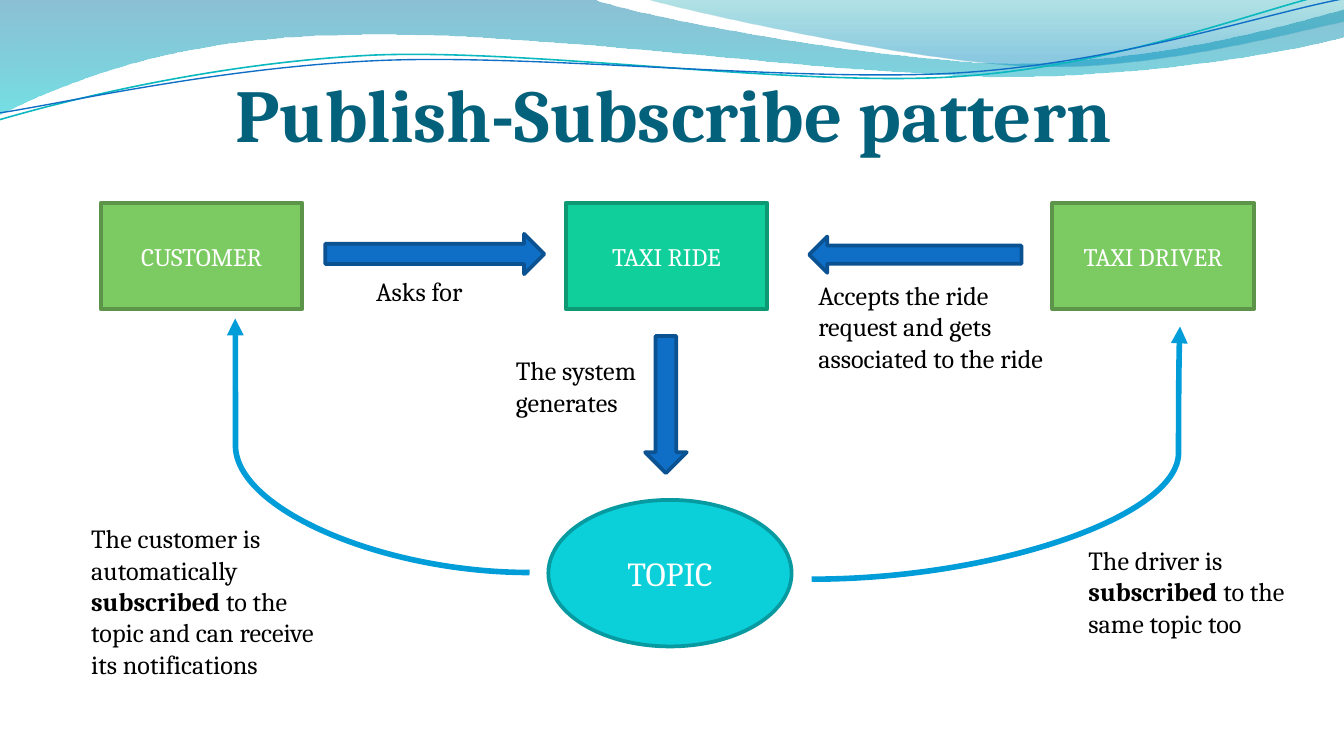
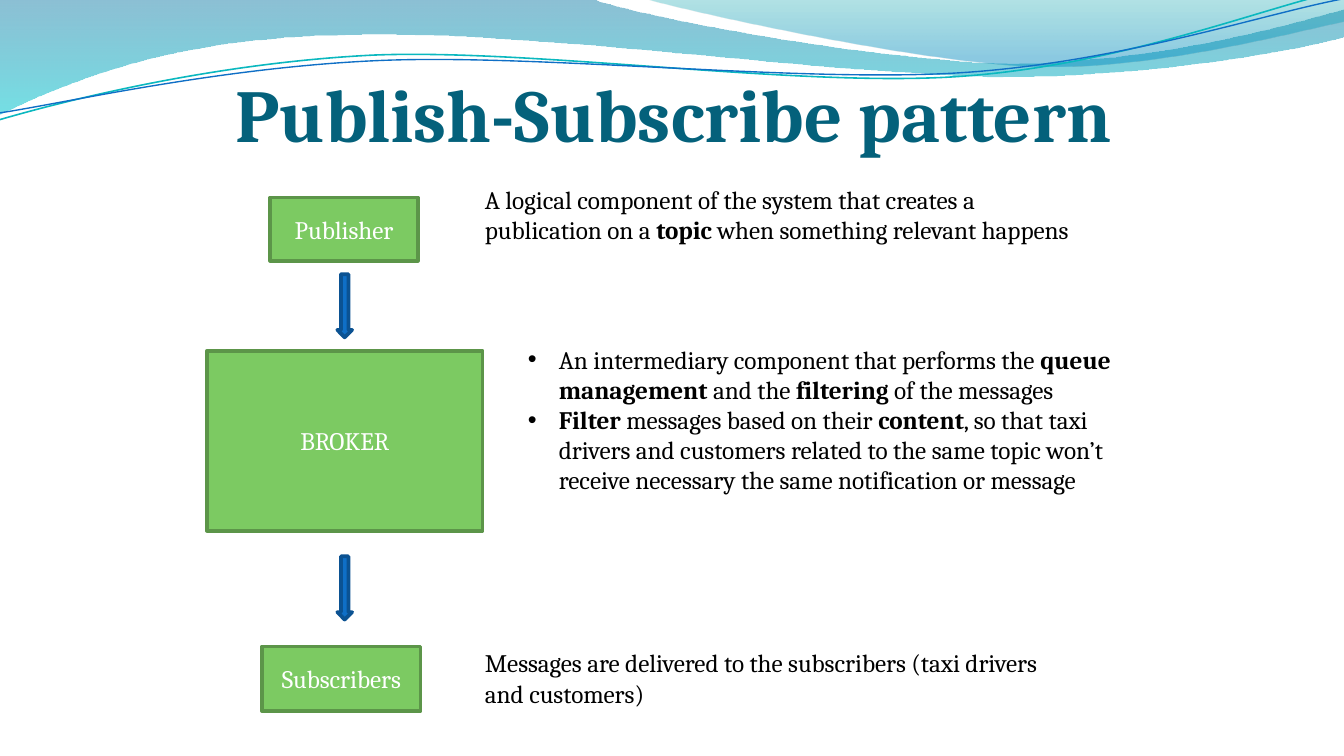
from dataclasses import dataclass
from math import cos, radians, sin
from lxml.etree import SubElement
from pptx import Presentation
from pptx.dml.color import RGBColor
from pptx.enum.shapes import MSO_CONNECTOR, MSO_SHAPE
from pptx.enum.text import MSO_ANCHOR, MSO_AUTO_SIZE, PP_ALIGN
from pptx.oxml.ns import qn
from pptx.util import Inches, Pt


@dataclass(frozen=True)
class Theme:
    font: str = "Cambria"
    title: str = "04617B"
    text: str = "000000"
    white: str = "FFFFFF"
    green: tuple = ("7CCA62", "5C9549")
    mint: tuple = ("10CF9B", "0C9973")
    cyan: tuple = ("0BD0D9", "089AA1")
    blue: tuple = ("0F6FC6", "0B5292")
    curve: str = "009DD9"
    teal_line: str = "0AB8BF"
    wave: tuple = ((0, "0074A1", 45), (1, "00C6CF", 55))
    sweep: tuple = ((0, "00A1A9", 30), (0.8, "008BBF", 45))
    title_size: float = 40
    topic_size: float = 18
    note_size: float = 14
    body_size: float = 13.5
    outline: float = 2
    curve_width: float = 3


@dataclass(frozen=True)
class Box:
    left: float
    top: float
    width: float
    height: float

    def inner(self, left, top, width, height):
        return Box(self.left + left, self.top + top, width, height)

    def point(self, x, y):
        return Inches(self.left + x), Inches(self.top + y)

    def lengths(self):
        return [Inches(n) for n in (self.left, self.top, self.width, self.height)]


THEME = Theme()
STRAND_TILT = -2.7

WAVE = [[(0, 0)], [(4.4, -0.01)],
        [(4.76, 0.13), (6.64, 0.47), (7.58, 0.47)],
        [(8.53, 0.47), (9.58, 0.19), (10, 0.07)], [(10.01, 0.27)],
        [(9.83, 0.33), (8.7, 0.57), (7.46, 0.57)],
        [(6.22, 0.56), (3.82, 0.21), (2.57, 0.26)],
        [(1.29, 0.27), (0.46, 0.62), (-0.01, 0.85)], [(0, 0)]]
SWEEP = [[(4.79, -0.01)],
         [(5.09, 0.08), (6.82, 0.46), (7.69, 0.49)],
         [(8.56, 0.52), (9.61, 0.24), (10, 0.16)], [(10, 0)], [(4.79, -0.01)]]
TEAL_STRAND = [[(0, 0.89)],
               [(0.48, 0.75), (1.58, 0.47), (2.77, 0.41)],
               [(3.96, 0.36), (5.92, 0.65), (7.12, 0.57)],
               [(8.33, 0.49), (9.39, 0.06), (9.98, -0.07)]]
BLUE_STRAND = [[(0, 0.84)],
               [(0.47, 0.77), (1.64, 0.5), (2.83, 0.45)],
               [(4.03, 0.4), (5.97, 0.62), (7.17, 0.54)],
               [(8.36, 0.46), (9.41, 0.1), (10, -0.01)]]


def apply(target, values):
    for name, value in values.items():
        setattr(target, name, value)


def rgb(value):
    return RGBColor.from_string(value)


def add_xml(parent, tag, **values):
    return SubElement(parent, qn(tag), {k: str(v) for k, v in values.items()})


def set_line(shape, color, width):
    shape.line.color.rgb = rgb(color)
    shape.line.width = Pt(width)


def add_outline(page, box, outline, close):
    places = [box.point(*p) for segment in outline for p in segment]
    builder = page.shapes.build_freeform(*places[0], scale=1.0)
    builder.add_line_segments(places[1:], close=close)
    shape = builder.convert_to_shape()
    shape.shadow.inherit = False
    corners = iter(list(shape._element.iter(qn("a:lnTo"))))
    for segment in outline[1:]:
        steps = [next(corners) for _ in segment]
        if len(steps) == 3:
            curve = add_xml(steps[0].getparent(), "a:cubicBezTo")
            steps[0].addprevious(curve)
            for step in steps:
                curve.append(step[0])
                step.getparent().remove(step)
    return shape


def add_band(page, box, outline, stops):
    shape = add_outline(page, box, outline, True)
    shape.line.fill.background()
    shape.fill.gradient()
    shape.fill.gradient_angle = 270
    for stop, (position, color, _) in zip(shape.fill.gradient_stops, stops):
        stop.position = position
        stop.color.rgb = rgb(color)
    for mark, (_, _, opacity) in zip(shape._element.iter(qn("a:gs")), stops):
        add_xml(mark[0], "a:alpha", val=opacity * 1000)


def turn(point, center, degrees):
    angle = radians(degrees)
    x, y = point[0] - center[0], point[1] - center[1]
    return (center[0] + x * cos(angle) - y * sin(angle),
            center[1] + x * sin(angle) + y * cos(angle))


def add_strand(page, box, outline, center, color, width):
    level = [[turn(p, center, -STRAND_TILT) for p in segment] for segment in outline]
    shape = add_outline(page, box, level, False)
    shape.rotation = STRAND_TILT
    shape.fill.background()
    set_line(shape, color, width)


def write(frame, texts, size, color, align=PP_ALIGN.LEFT, bold=False, bullets=False):
    frame.word_wrap = True
    for index, text in enumerate(texts):
        para = frame.paragraphs[0] if index == 0 else frame.add_paragraph()
        para.alignment = align
        if bullets:
            add_bullet(para)
        for number, words in enumerate(text.split("**")):
            if words:
                span = para.add_run()
                span.text = words
                apply(span.font, {"name": THEME.font, "size": Pt(size),
                                  "bold": bold or number % 2 == 1})
                span.font.color.rgb = rgb(color)


def add_bullet(para):
    props = para._p.get_or_add_pPr()
    props.set("marL", str(Inches(0.23)))
    props.set("indent", str(-Inches(0.23)))
    add_xml(props, "a:buFont", typeface="Arial")
    add_xml(props, "a:buChar", char="•")


def add_note(page, box, *texts, size=THEME.note_size, bullets=False):
    frame = page.shapes.add_textbox(*box.lengths()).text_frame
    write(frame, texts, size, THEME.text, bullets=bullets)
    frame.auto_size = MSO_AUTO_SIZE.SHAPE_TO_FIT_TEXT


def add_block(page, box, colors, text="", kind=MSO_SHAPE.RECTANGLE,
              size=THEME.body_size, rotation=0):
    shape = page.shapes.add_shape(kind, *box.lengths())
    shape.shadow.inherit = False
    shape.rotation = rotation
    shape.fill.solid()
    shape.fill.fore_color.rgb = rgb(colors[0])
    set_line(shape, colors[1], THEME.outline)
    if text:
        shape.text_frame.vertical_anchor = MSO_ANCHOR.MIDDLE
        write(shape.text_frame, [text], size, THEME.white, PP_ALIGN.CENTER)


def add_curve(page, box, start, end, bend):
    line = page.shapes.add_connector(MSO_CONNECTOR.CURVE, *box.point(*start), *box.point(*end))
    set_line(line, THEME.curve, THEME.curve_width)
    add_xml(line.line._get_or_add_ln(), "a:tailEnd", type="triangle")
    props = line._element.spPr
    guides = props.find(qn("a:prstGeom")).find(qn("a:avLst"))
    add_xml(guides, "a:gd", name="adj1", fmla=f"val {bend}")
    add_xml(props, "a:effectLst")


def add_backdrop(page, box):
    add_band(page, box, WAVE, THEME.wave)
    add_band(page, box, SWEEP, THEME.sweep)
    add_strand(page, box, TEAL_STRAND, (4.99, 0.43), THEME.teal_line, 0.85)
    add_strand(page, box, BLUE_STRAND, (5, 0.44), THEME.blue[0], 0.75)


def add_title(page, box, text):
    frame = page.shapes.add_textbox(*box.lengths()).text_frame
    apply(frame, {"margin_left": 0, "margin_right": 0, "margin_bottom": 0,
                  "margin_top": Inches(0.05), "vertical_anchor": MSO_ANCHOR.BOTTOM})
    write(frame, [text], THEME.title_size, THEME.title, PP_ALIGN.CENTER, bold=True)


def start_page(deck):
    page = deck.slides.add_slide(deck.slide_layouts[6])
    add_backdrop(page, Box(0, 0, 10, 0.85))
    add_title(page, Box(0.51, 0.23, 9, 0.94), "Publish-Subscribe pattern")
    return page


def add_ride_flow(page, box):
    for left, text, colors in ((0.25, "CUSTOMER", THEME.green),
                               (3.71, "TAXI RIDE", THEME.mint),
                               (7.33, "TAXI DRIVER", THEME.green)):
        add_block(page, box.inner(left, 0.01, 1.5, 0.79), colors, text)
    for place, kind, rotation in (
            ((1.92, 0.24, 1.63, 0.3), MSO_SHAPE.RIGHT_ARROW, 0),
            ((5.52, 0.26, 1.58, 0.27), MSO_SHAPE.RIGHT_ARROW, 180),
            ((4.3, 1, 0.31, 1.02), MSO_SHAPE.DOWN_ARROW, 0)):
        add_block(page, box.inner(*place), THEME.blue, kind=kind, rotation=rotation)
    add_block(page, box.inner(3.58, 2.22, 1.81, 1.09), THEME.cyan, "TOPIC",
              MSO_SHAPE.OVAL, THEME.topic_size)
    add_curve(page, box, (3.44, 2.76), (1.25, 0.87), 99900)
    add_curve(page, box, (5.54, 2.81), (8.28, 0.93), 99600)
    for place, text in (
            ((2.2, 0.5, 1.16, 0.34), "Asks for"),
            ((3.24, 1.09, 1.16, 0.57), "The system generates "),
            ((5.49, 0.53, 2.07, 0.81),
             "Accepts the ride request and gets associated to the ride"),
            ((0.08, 2.34, 1.95, 1.31),
             "The customer is automatically **subscribed** to the topic "
             "and can receive its notifications"),
            ((7.5, 2.5, 1.95, 0.81),
             "The driver is **subscribed** to the same topic too")):
        add_note(page, box.inner(*place), text)


def add_broker_column(page, box):
    for left, top, width, height, text in ((0.47, 0.15, 1.1, 0.47, "Publisher"),
                                           (0, 1.29, 2.05, 1.34, "BROKER"),
                                           (0.41, 3.49, 1.18, 0.48, "Subscribers")):
        add_block(page, box.inner(left, top, width, height), THEME.green, text)
    for top in (0.72, 2.82):
        add_block(page, box.inner(0.97, top, 0.11, 0.47), THEME.blue,
                  kind=MSO_SHAPE.DOWN_ARROW)


def add_role_notes(page, box):
    size = THEME.body_size
    add_note(page, box.inner(0, 0, box.width, 0.78),
             "A logical component of the system that creates a publication on a "
             "**topic **when something relevant happens", size=size)
    add_note(page, box.inner(0.32, 1.19, box.width, 1.69),
             "An intermediary component that performs the **queue management **"
             "and the **filtering** of the messages",
             "**Filter **messages based on their **content**, so that taxi drivers and "
             "customers related to the same topic won’t receive necessary the same "
             "notification or message", size=size, bullets=True)
    add_note(page, box.inner(0, 3.45, box.width, 0.56),
             "Messages are delivered to the subscribers (taxi drivers and customers)",
             size=size)


deck = Presentation()
apply(deck, {"slide_width": Inches(10), "slide_height": Inches(10) * 9 // 16})
add_ride_flow(start_page(deck), Box(0.5, 1.5, 9, 3.7))
roles_page = start_page(deck)
add_broker_column(roles_page, Box(1.54, 1.32, 2.05, 3.97))
add_role_notes(roles_page, Box(3.51, 1.32, 4.59, 4.01))
deck.save("out.pptx")
